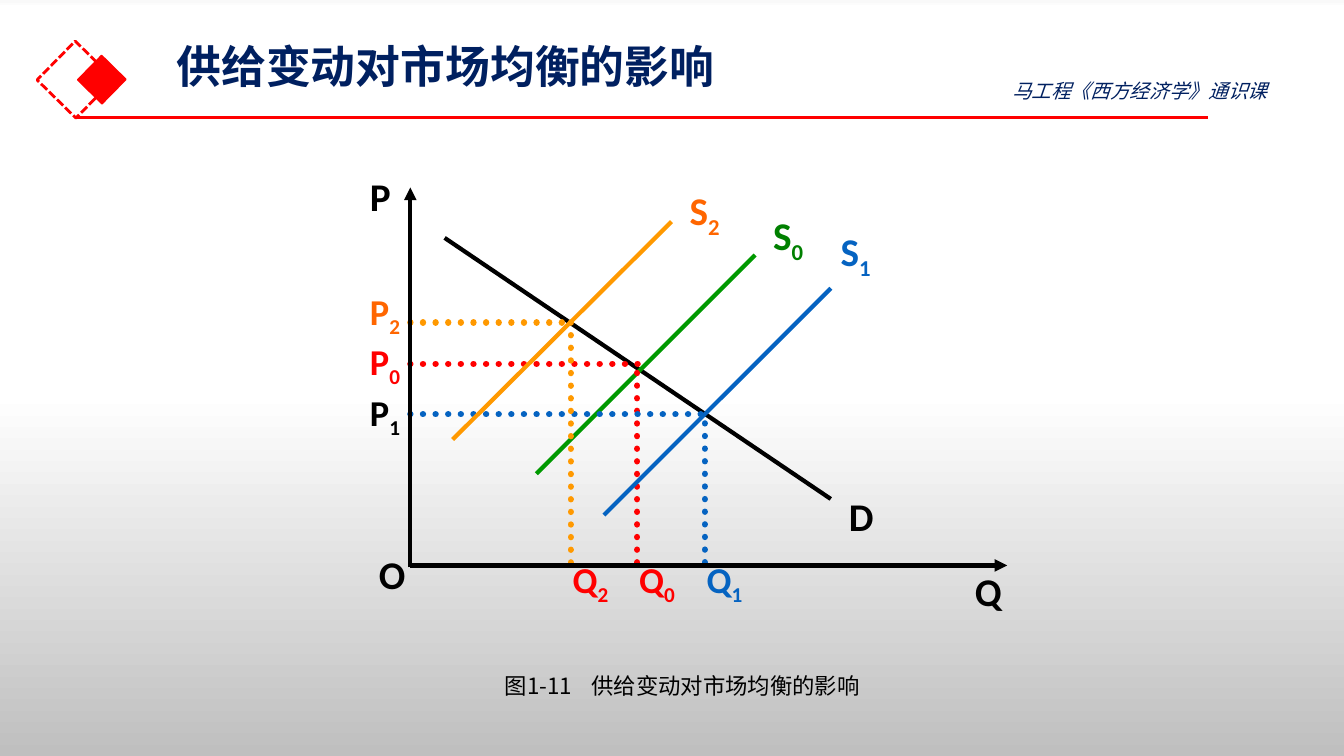
from dataclasses import dataclass

from lxml import etree
from pptx import Presentation
from pptx.dml.color import RGBColor
from pptx.enum import dml, shapes, text
from pptx.oxml.ns import qn
from pptx.util import Inches, Pt

COLORS = {
    "black": "000000", "navy": "002060", "red": "FF0000", "blue": "0563C1",
    "amber": "FF9900", "orange": "FF6600", "green": "009900", "dark_green": "008000",
}
BACKGROUND_STOPS = [(0, "F9F9F9"), (1, "FFFFFF"), (52, "FFFFFF"), (100, "BFBFBF")]
CJK = "Noto Sans CJK SC"
ORIGIN_X, ORIGIN_Y = 4.07, 5.61
LABEL_SIZE, SUB_LABEL_WIDTH = 0.33, 0.48


@dataclass
class Line:
    """A straight line between two points."""
    start: tuple[float, float]
    end: tuple[float, float]
    color: str
    width: float = 3
    dotted: bool = False
    arrow: bool = False


@dataclass
class Label:
    """A bold diagram letter with an optional subscript."""
    left: float
    top: float
    letter: str
    color: str = "black"
    sub: str = ""
    size: float = 28


@dataclass
class Case:
    """A supply curve with the equilibrium it sets."""
    sub: str
    supply: Line
    name_at: tuple[float, float]
    name_color: str
    x: float
    price_y: float
    price_end: float
    drop: tuple[float, float]
    price_label_y: float
    guide_color: str
    price_color: str
    quantity_color: str


CASES = [
    Case("0", Line((5.32, 4.7), (7.49, 2.53), "green"), (7.57, 2.2), "dark_green",
         6.32, 3.61, 6.41, (3.7, 5.61), 3.45, "red", "red", "red"),
    Case("1", Line((5.99, 5.11), (8.24, 2.86), "blue"), (8.24, 2.36), "blue",
         6.99, 4.11, 6.99, (4.2, 5.7), 3.95, "blue", "black", "blue"),
    Case("2", Line((4.49, 4.36), (6.66, 2.2), "amber"), (6.74, 1.95), "orange",
         5.66, 3.2, 5.66, (3.2, 5.61), 2.95, "amber", "orange", "red"),
]
AXES = [
    Line((ORIGIN_X, 5.63), (ORIGIN_X, 1.86), "black", arrow=True),
    Line((ORIGIN_X, ORIGIN_Y), (9.99, ORIGIN_Y), "black", arrow=True),
]
AXIS_LABELS = [Label(3.57, 1.78, "P"), Label(3.66, 5.53, "O"), Label(9.57, 5.7, "Q")]


def rgb(name: str) -> RGBColor:
    """Return a named colour."""
    return RGBColor.from_string(COLORS[name])


def set_font(p, name: str, size: float, color: str, bold=False, italic=False) -> None:
    """Format a whole paragraph, East Asian letters included."""
    font = p.font
    font.name, font.size, font.bold, font.italic = name, Pt(size), bold, italic
    font.color.rgb = rgb(color)
    etree.SubElement(p._p.pPr.find(qn("a:defRPr")), qn("a:ea"), typeface=name)


def set_background(s) -> None:
    """Fade the slide from white to grey."""
    fill = s.background.fill
    fill.gradient()
    fill.gradient_angle = 270
    stops = s._element.find(".//" + qn("a:gsLst"))
    for old in list(stops):
        stops.remove(old)
    for percent, color in BACKGROUND_STOPS:
        stop = etree.SubElement(stops, qn("a:gs"), pos=str(percent * 1000))
        etree.SubElement(stop, qn("a:srgbClr"), val=color)


def add_line(s, line: Line) -> None:
    """Draw a line, dotted or with an arrowhead when asked."""
    points = [Inches(v) for v in (*line.start, *line.end)]
    sp = s.shapes.add_connector(shapes.MSO_CONNECTOR.STRAIGHT, *points)
    sp.line.color.rgb = rgb(line.color)
    sp.line.width = Pt(line.width)
    props = sp._element.spPr
    ln = props.find(qn("a:ln"))
    if line.dotted:
        sp.line.dash_style = dml.MSO_LINE.ROUND_DOT
        ln.set("cap", "rnd")
    if line.arrow:
        etree.SubElement(ln, qn("a:tailEnd"), type="triangle")
    etree.SubElement(props, qn("a:effectLst"))


def add_label(s, label: Label) -> None:
    """Write a diagram letter in a box wide enough for its subscript."""
    width = SUB_LABEL_WIDTH if label.sub else LABEL_SIZE
    box = [Inches(v) for v in (label.left, label.top, width, LABEL_SIZE)]
    tf = s.shapes.add_textbox(*box).text_frame
    tf.word_wrap = False
    tf.margin_right = 0
    tf.vertical_anchor = text.MSO_ANCHOR.MIDDLE
    p = tf.paragraphs[0]
    p.add_run().text = label.letter
    if label.sub:
        r = p.add_run()
        r.text = label.sub
        r._r.get_or_add_rPr().set("baseline", "-25000")
    set_font(p, "Calibri", label.size, label.color, bold=True)


def add_case(s, case: Case) -> None:
    """Draw a supply curve, its dotted guides and its labels."""
    add_line(s, case.supply)
    add_label(s, Label(*case.name_at, "S", case.name_color, case.sub))
    add_label(s, Label(3.57, case.price_label_y, "P", case.price_color, case.sub, 26))
    add_line(s, Line((ORIGIN_X, case.price_y), (case.price_end, case.price_y),
                     case.guide_color, 4.5, dotted=True))
    add_line(s, Line((case.x, case.drop[0]), (case.x, case.drop[1]),
                     case.guide_color, 4.5, dotted=True))
    add_label(s, Label(case.x - 0.08, ORIGIN_Y, "Q", case.quantity_color, case.sub, 26))


def add_diamond(s, left: float, top: float, size: float, width: float, filled: bool) -> None:
    """Draw a red square turned on its corner."""
    box = [Inches(v) for v in (left, top, size, size)]
    sp = s.shapes.add_shape(shapes.MSO_SHAPE.RECTANGLE, *box)
    sp.shadow.inherit = False
    sp.rotation = 314.5
    sp.line.color.rgb = rgb("red")
    sp.line.width = Pt(width)
    if filled:
        sp.fill.solid()
        sp.fill.fore_color.rgb = rgb("red")
    else:
        sp.fill.background()
        sp.line.dash_style = dml.MSO_LINE.SQUARE_DOT
        sp._element.spPr.find(qn("a:ln")).find(qn("a:prstDash")).set("val", "sysDash")


def add_title(s, words: str) -> None:
    """Place and format the title."""
    sp = s.shapes.title
    sp.left, sp.top, sp.width, sp.height = (Inches(v) for v in (1.65, 0.41, 11.5, 0.95))
    tf = sp.text_frame
    tf.text = words
    tf.auto_size = text.MSO_AUTO_SIZE.NONE
    tf.vertical_anchor = text.MSO_ANCHOR.MIDDLE
    tf.margin_top, tf.margin_bottom = 0, Inches(0.4)
    p = tf.paragraphs[0]
    p.alignment = text.PP_ALIGN.LEFT
    p.line_spacing = 0.9
    set_font(p, CJK, 32, "navy", bold=True)


def add_note(s, box: tuple, words: str, size: float, color: str, italic=False, tab=0.0) -> None:
    """Write a line of running text, with a tab stop when asked."""
    tf = s.shapes.add_textbox(*(Inches(v) for v in box)).text_frame
    tf.word_wrap = True
    p = tf.paragraphs[0]
    p.text = words
    if tab:
        tabs = etree.SubElement(p._p.get_or_add_pPr(), qn("a:tabLst"))
        etree.SubElement(tabs, qn("a:tab"), pos=str(Inches(tab)), algn="l")
    set_font(p, CJK, size, color, italic=italic)


def main() -> None:
    """Build and save the slide."""
    prs = Presentation()
    prs.slide_width, prs.slide_height = Inches(13.33), Inches(7.5)
    s = prs.slides.add_slide(prs.slide_layouts[5])
    set_background(s)
    add_diamond(s, 0.48, 0.52, 0.54, 2, filled=False)
    add_diamond(s, 0.84, 0.62, 0.34, 1, filled=True)
    add_line(s, Line((0.75, 1.17), (11.98, 1.17), "red", 2.25))
    add_title(s, "供给变动对市场均衡的影响")
    add_line(s, Line((4.41, 2.36), (8.24, 4.95), "black"))
    add_label(s, Label(8.32, 4.95, "D"))
    for case in CASES:
        add_case(s, case)
    for axis in AXES:
        add_line(s, axis)
    for label in AXIS_LABELS:
        add_label(s, label)
    add_note(s, (9.94, 0.73, 3.24, 0.34), "马工程《西方经济学》通识课", 14, "navy", italic=True)
    add_note(s, (4.91, 6.62, 7.17, 0.37), "图1-11\t供给变动对市场均衡的影响", 16, "black", tab=0.86)
    prs.save("out.pptx")


if __name__ == "__main__":
    main()
